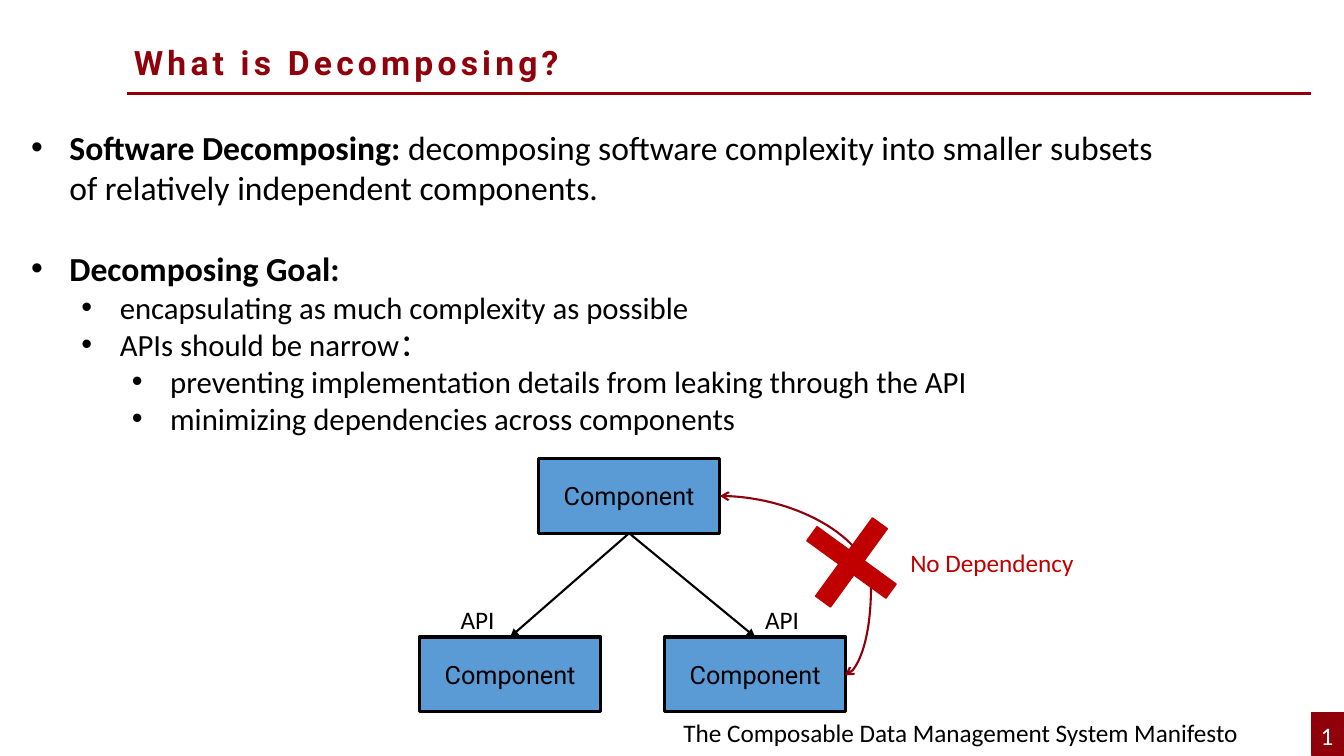
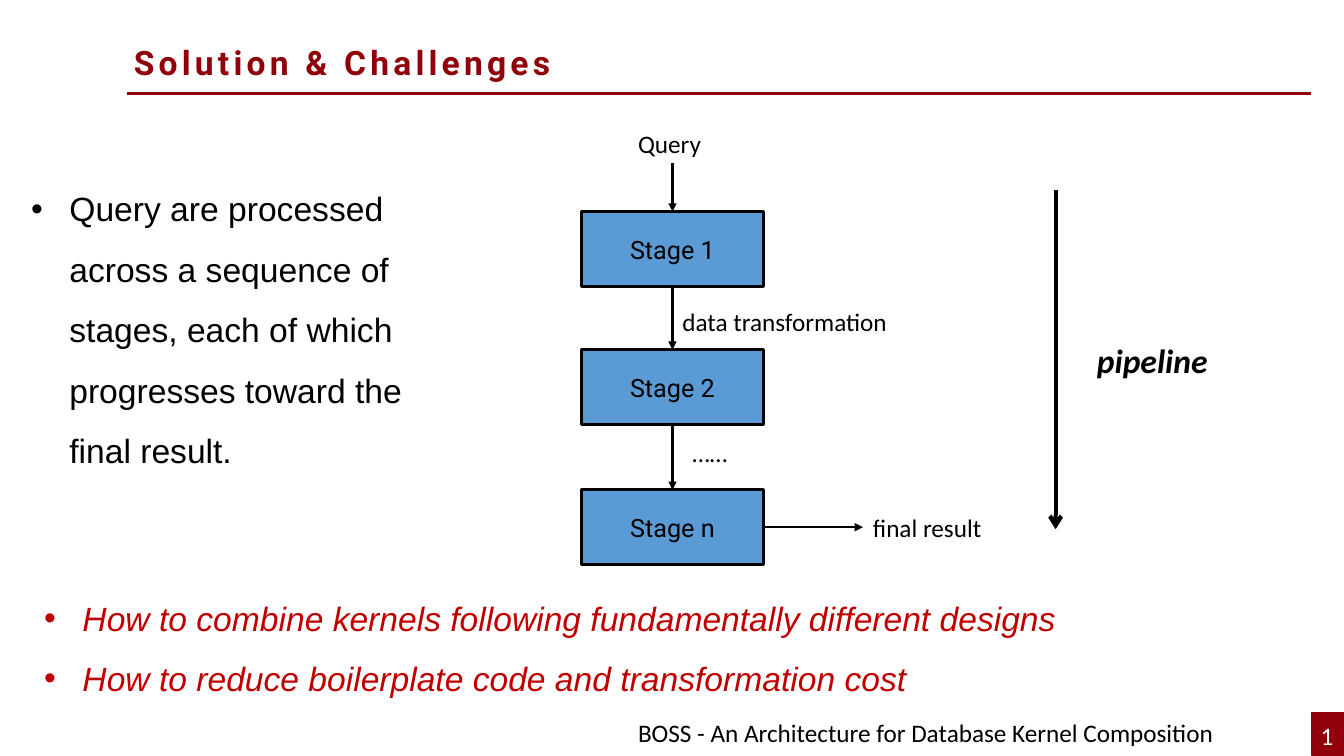
"""Build two slides on decomposing software and on staged query processing."""
from pptx import Presentation
from pptx.dml.color import RGBColor
from pptx.enum.shapes import MSO_CONNECTOR as Connector, MSO_SHAPE as Preset
from pptx.enum.text import MSO_ANCHOR as Anchor, MSO_AUTO_SIZE as AutoSize, PP_ALIGN as Align
from pptx.oxml.ns import qn
from pptx.util import Inches, Pt
from lxml.etree import SubElement

BLACK = RGBColor(0x00, 0x00, 0x00)
WHITE = RGBColor(0xFF, 0xFF, 0xFF)
MAROON = RGBColor(0x8F, 0x00, 0x0B)
RED = RGBColor(0xC0, 0x00, 0x00)
BLUE = RGBColor(0x5B, 0x9B, 0xD5)

BOX_WIDTH, BOX_HEIGHT = 1.8, 0.74
LABEL_HEIGHT = 0.4
HANG = 0.38
LEVEL_STEP = 0.5
TOP, BOTTOM, RIGHT = 0, 2, 3


def write(paragraph, text, size=18, font="Calibri", color=BLACK,
          bold=False, italic=False, spacing=0):
    """Add a formatted run to a paragraph."""
    run = paragraph.add_run()
    run.text = text
    run.font.size = Pt(size)
    run.font.name = font
    run.font.color.rgb = color
    run.font.bold = bold
    run.font.italic = italic
    if spacing:
        run.font._element.set("spc", str(spacing * 100))


def add_frame(slide, left, top, width, height, wrap):
    """Add a text box and return its text frame."""
    frame = slide.shapes.add_textbox(*map(Inches, (left, top, width, height))).text_frame
    frame.word_wrap = wrap
    frame.auto_size = AutoSize.SHAPE_TO_FIT_TEXT
    return frame


def add_label(slide, text, left, top, width, height=LABEL_HEIGHT, wrap=False, **style):
    """Add a one-line text."""
    frame = add_frame(slide, left, top, width, height, wrap)
    write(frame.paragraphs[0], text, **style)


def add_bullets(slide, items, left, top, width, height, line_spacing=1.0, gap=0, **style):
    """Add a bulleted list of (level, size, lead, text), with a gap between top-level items."""
    frame = add_frame(slide, left, top, width, height, True)
    for index, (level, size, lead, text) in enumerate(items):
        paragraph = frame.add_paragraph() if index else frame.paragraphs[0]
        paragraph.level = level
        paragraph.line_spacing = line_spacing
        if index and level == 0:
            paragraph.space_before = Pt(gap)
        properties = paragraph._p.get_or_add_pPr()
        properties.set("marL", str(Inches(HANG + LEVEL_STEP * level)))
        properties.set("indent", str(Inches(-HANG)))
        SubElement(properties, qn("a:buFont")).set("typeface", "Arial")
        SubElement(properties, qn("a:buChar")).set("char", "•")
        if lead:
            write(paragraph, lead, size=size, bold=True, **style)
        if text:
            write(paragraph, text, size=size, **style)


def add_preset(slide, preset, left, top, width, height, fill, line, line_width=1):
    """Add a filled and outlined preset shape."""
    shape = slide.shapes.add_shape(preset, *map(Inches, (left, top, width, height)))
    shape.shadow.inherit = False
    shape.fill.solid()
    shape.fill.fore_color.rgb = fill
    shape.line.color.rgb = line
    shape.line.width = Pt(line_width)
    return shape


def add_box(slide, text, left, top):
    """Add a diagram box with a centred caption."""
    box = add_preset(slide, Preset.RECTANGLE, left, top, BOX_WIDTH, BOX_HEIGHT, BLUE, BLACK, 2.25)
    box.text_frame.vertical_anchor = Anchor.MIDDLE
    caption = box.text_frame.paragraphs[0]
    caption.alignment = Align.CENTER
    write(caption, text, font="Roboto")
    return box


def add_line(slide, start, end, color=BLACK, width=1.5, kind=Connector.STRAIGHT,
             head=None, tail=None):
    """Add a connector between two points."""
    line = slide.shapes.add_connector(kind, *map(Inches, (*start, *end)))
    line.line.color.rgb = color
    line.line.width = Pt(width)
    outline = line.line._get_or_add_ln()
    for tag, arrowhead in (("a:headEnd", head), ("a:tailEnd", tail)):
        if arrowhead:
            SubElement(outline, qn(tag)).set("type", arrowhead)
    SubElement(line._element.spPr, qn("a:effectLst"))
    return line


def add_arrow(slide, start, end, source=None, target=None):
    """Add an arrow, glued to (box, site) pairs where these are given."""
    arrow = add_line(slide, start, end, tail="triangle")
    if source:
        arrow.begin_connect(*source)
    if target:
        arrow.end_connect(*target)


def add_base(deck, title, title_width, citation, citation_left):
    """Add a slide with its title, rule, page number and citation."""
    slide = deck.slides.add_slide(deck.slide_layouts[6])
    add_line(slide, (1.26, 0.93), (13, 0.93), MAROON, 2.25)
    add_label(slide, title, 1.23, 0.37, title_width, 0.5,
              size=24, font="Roboto", color=MAROON, bold=True, spacing=3)
    add_preset(slide, Preset.RECTANGLE, 13.01, 7.07, 0.33, 0.42, MAROON, MAROON)
    add_label(slide, "1", 13, 7.1, 0.25, wrap=True, color=WHITE)
    add_label(slide, citation, citation_left, 7.07, 13.33 - citation_left, wrap=True)
    return slide


def build_decomposing(deck):
    """Build the slide that defines decomposing."""
    slide = add_base(deck, "What is Decomposing?", 4.61,
                     "The Composable Data Management System Manifesto", 6.68)
    add_bullets(slide, [
        (0, 24, "Software Decomposing:",
         " decomposing software complexity into smaller subsets"
         " of relatively independent components."),
        (0, 24, "Decomposing Goal:", ""),
        (1, 22, "", "encapsulating as much complexity as possible"),
        (1, 22, "", "APIs should be narrow："),
        (2, 22, "", "preventing implementation details from leaking through the API"),
        (2, 22, "", "minimizing dependencies across components"),
    ], 0.21, 1.21, 11.45, 3.53, gap=29)

    parent_left, parent_top, child_top = 5.34, 4.55, 6.32
    parent = add_box(slide, "Component", parent_left, parent_top)
    fork = (parent_left + BOX_WIDTH / 2, parent_top + BOX_HEIGHT)
    for child_left, api_left in ((4.16, 4.47), (6.59, 7.49)):
        child = add_box(slide, "Component", child_left, child_top)
        add_arrow(slide, fork, (child_left + BOX_WIDTH / 2, child_top),
                  (parent, BOTTOM), (child, TOP))
        add_label(slide, "API", api_left, 5.95, 0.59)

    dependency = add_line(slide, (7.14, 4.92), (8.38, 6.7), MAROON,
                          kind=Connector.CURVE, head="arrow", tail="arrow")
    bends = dependency._element.spPr.find(qn("a:prstGeom")).find(qn("a:avLst"))
    bend = SubElement(bends, qn("a:gd"))
    bend.set("name", "adj1")
    bend.set("fmla", "val 120900")
    cross = add_preset(slide, Preset.CROSS, 7.96, 5.1, 0.97, 0.96, RED, RED)
    cross.adjustments[0] = 0.41
    cross.rotation = 36
    add_label(slide, "No Dependency", 8.93, 5.38, 2, color=RED)


def build_solution(deck):
    """Build the slide on the staged pipeline and its challenges."""
    slide = add_base(deck, "Solution & Challenges", 4.5,
                     "BOSS - An Architecture for Database Kernel Composition", 6.23)
    add_bullets(slide, [
        (0, 24, "", "Query are processed across a sequence of stages, "
                    "each of which progresses toward the final result."),
    ], 0.21, 1.62, 4.29, 3.13, line_spacing=1.5, font="Arial")
    add_bullets(slide, [
        (0, 24, "", "How to combine kernels following fundamentally different designs"),
        (0, 24, "", "How to reduce boilerplate code and transformation cost"),
    ], 0.34, 5.68, 11.34, 1.31, line_spacing=1.5, font="Arial", color=RED, italic=True)

    stage_left = 5.77
    axis = stage_left + BOX_WIDTH / 2
    previous, flow_top = None, 1.62
    for name, stage_top in (("Stage 1", 2.1), ("Stage 2", 3.47), ("Stage n", 4.86)):
        stage = add_box(slide, name, stage_left, stage_top)
        add_arrow(slide, (axis, flow_top), (axis, stage_top), previous, (stage, TOP))
        previous, flow_top = (stage, BOTTOM), stage_top + BOX_HEIGHT
    add_arrow(slide, (stage_left + BOX_WIDTH, 5.23), (8.56, 5.23), (stage, RIGHT))

    for text, left, top, width in (("Query", 6.23, 1.22, 0.87),
                                   ("data transformation", 6.67, 2.99, 2.39),
                                   ("……", 6.77, 4.29, 0.7),
                                   ("final result", 8.56, 5.03, 1.34)):
        add_label(slide, text, left, top, width)
    add_label(slide, "pipeline", 10.78, 3.32, 1.45, 0.5, size=24, bold=True, italic=True)
    add_line(slide, (10.47, 1.89), (10.47, 5.25), width=3, tail="arrow")


def main():
    """Build and save the presentation."""
    deck = Presentation()
    deck.slide_width, deck.slide_height = Inches(13.33), Inches(7.5)
    build_decomposing(deck)
    build_solution(deck)
    deck.save("out.pptx")


if __name__ == "__main__":
    main()
